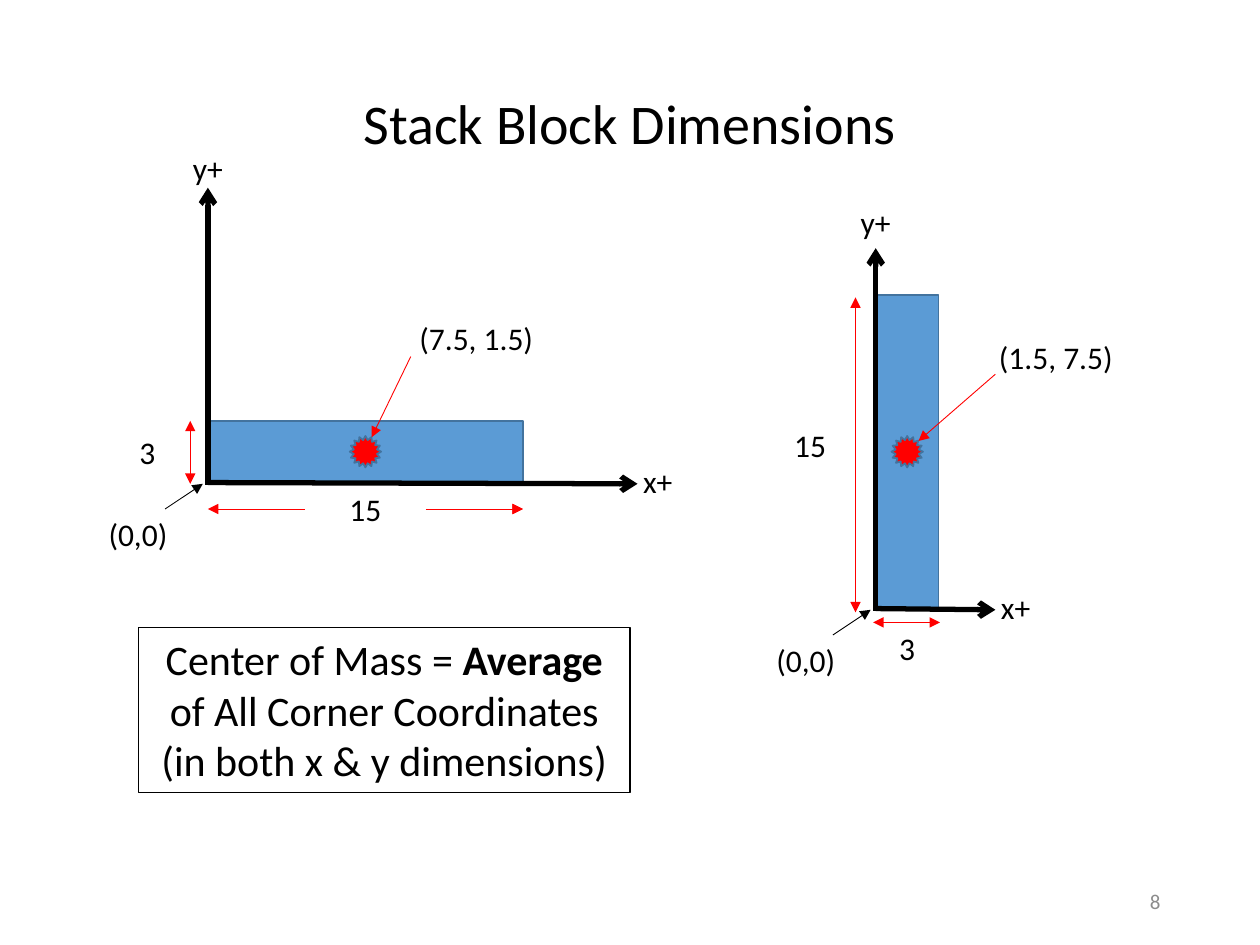
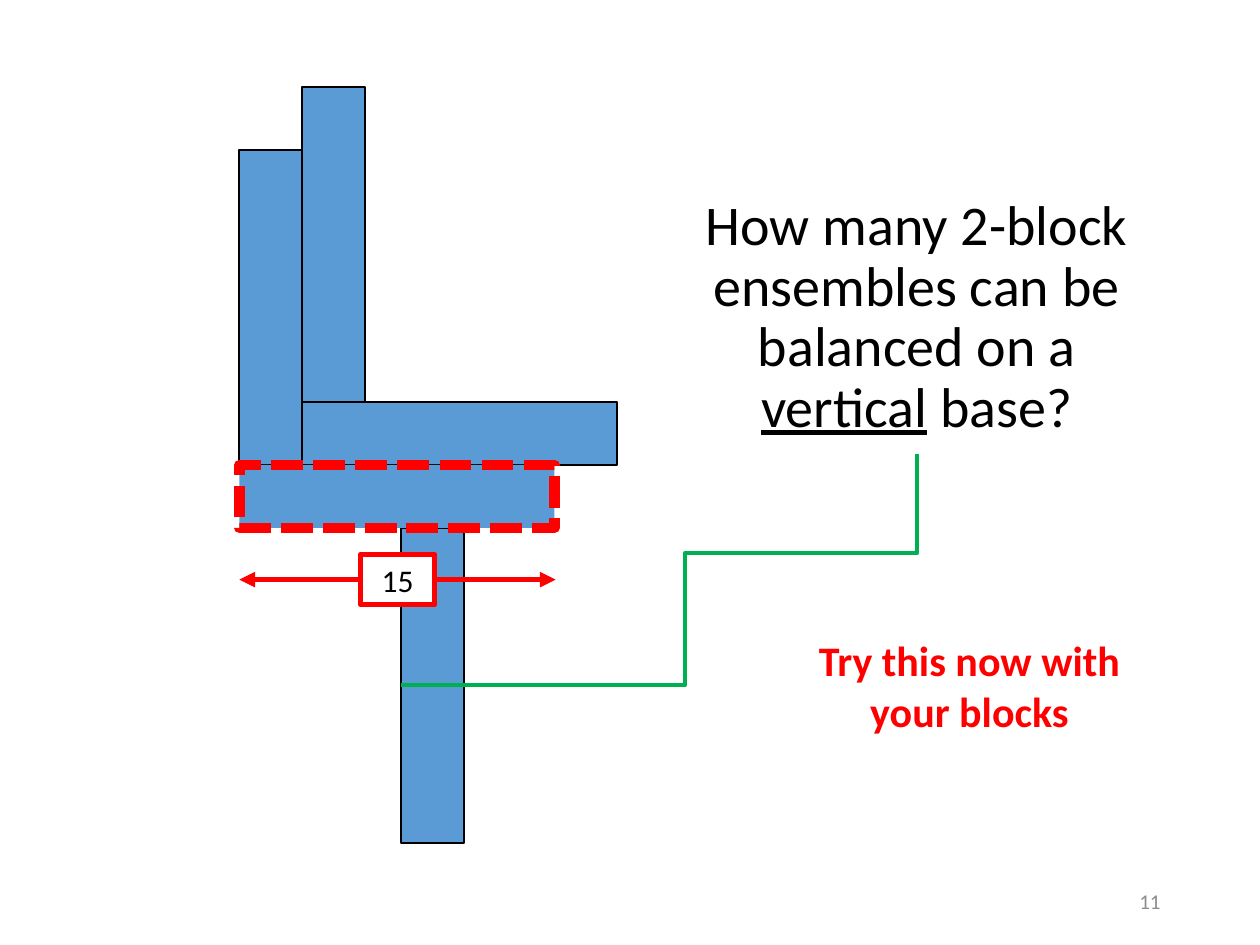
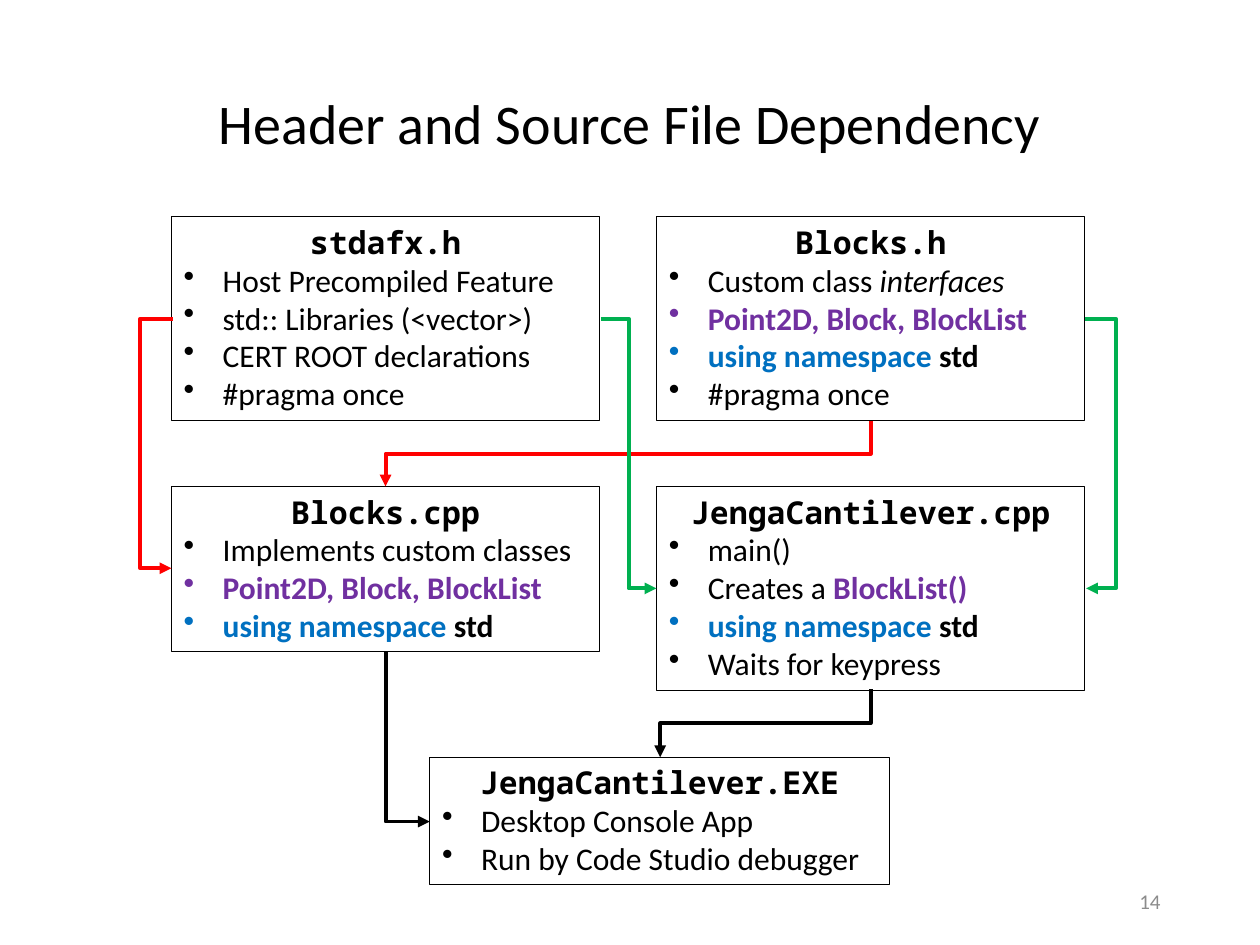
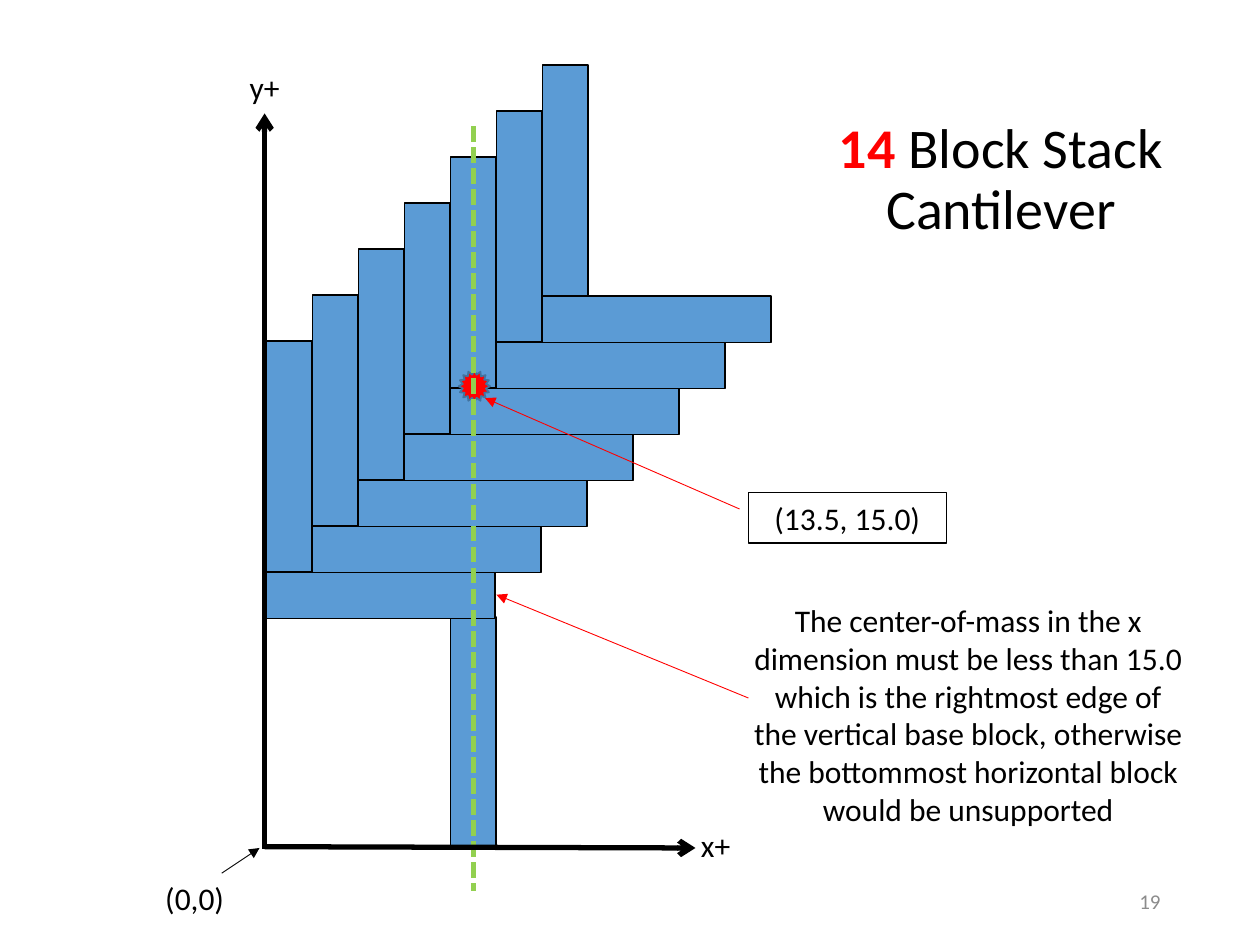
from lxml import etree
from pptx import Presentation
from pptx.dml.color import RGBColor
from pptx.enum.dml import MSO_LINE
from pptx.enum.shapes import MSO_CONNECTOR, MSO_SHAPE
from pptx.enum.text import MSO_ANCHOR, MSO_AUTO_SIZE, PP_ALIGN
from pptx.oxml.ns import qn
from pptx.util import Inches, Pt

RECT, STAR = MSO_SHAPE.RECTANGLE, MSO_SHAPE.STAR_16_POINT
STRAIGHT, ELBOW = MSO_CONNECTOR.STRAIGHT, MSO_CONNECTOR.ELBOW
LEFT, CENTER, RIGHT = PP_ALIGN.LEFT, PP_ALIGN.CENTER, PP_ALIGN.RIGHT
TOP, MIDDLE = MSO_ANCHOR.TOP, MSO_ANCHOR.MIDDLE
FIT, FIXED = MSO_AUTO_SIZE.SHAPE_TO_FIT_TEXT, MSO_AUTO_SIZE.NONE
DASH = MSO_LINE.SQUARE_DOT


class Theme:
    ink, white, red = "000000", "FFFFFF", "FF0000"
    blue, edge, green, lime = "5B9BD5", "43739E", "00B050", "92D050"
    grey, violet, azure = "8C8C8C", "7030A0", "0070C0"
    body = {"name": "Calibri", "size": Pt(18), "color": ink}
    title = {**body, "size": Pt(32)}
    large = {**body, "size": Pt(24)}
    small = {**body, "size": Pt(12), "color": grey}
    code = {"name": "Noto Sans Mono", "bold": True}
    bold = {"bold": True}
    kind = {"bold": True, "color": violet}
    word = {"bold": True, "color": azure}


deck = Presentation()
deck.slide_width, deck.slide_height = Inches(10), Inches(7.5)
COL = ROW = deck.slide_width / 10


def box(page, at, paras=(), base=Theme.body, shape=None, fill=None, edge=None,
        width=1, dash=None, rot=0, align=CENTER, anchor=TOP, size=FIT,
        space=None, dots=False):
    spot = [round(n * unit) for n, unit in zip(at, (COL, ROW, COL, ROW))]
    if shape is None:
        item = page.shapes.add_textbox(*spot)
    else:
        item = page.shapes.add_shape(shape, *spot)
        item.shadow.inherit = False
        item.rotation = rot
        if fill:
            item.fill.solid()
            item.fill.fore_color.rgb = RGBColor.from_string(fill)
        else:
            item.fill.background()
        item.line.color.rgb = RGBColor.from_string(edge)
        item.line.width = Pt(width)
        if dash:
            item.line.dash_style = dash
    if not paras:
        return
    frame = item.text_frame
    for key, val in {"word_wrap": True, "auto_size": size,
                     "vertical_anchor": anchor}.items():
        setattr(frame, key, val)
    for row, runs in enumerate(paras):
        para = frame.add_paragraph() if row else frame.paragraphs[0]
        para.alignment = align
        if space:
            para.line_spacing = space
        if dots and row:
            para.alignment = LEFT
            props = para._p.get_or_add_pPr()
            props.set("marL", str(Inches(0.31)))
            props.set("indent", str(-Inches(0.31)))
            etree.SubElement(props, qn("a:buChar")).set("char", "•")
        for part in [runs] if isinstance(runs, str) else runs:
            text, style = (part, {}) if isinstance(part, str) else part
            run = para.add_run()
            run.text = text
            for key, val in {**base, **style}.items():
                if key == "color":
                    run.font.color.rgb = RGBColor.from_string(val)
                else:
                    setattr(run.font, key, val)


def line(page, start, end, color=Theme.red, width=0.5, head=None, tail=None,
         dash=None, bend=None, turns=(), rot=0):
    (ax, ay), (bx, by) = start, end
    if rot:
        mx, my = (ax + bx) / 2, (ay + by) / 2
        dx, dy = abs(by - ay) / 2, abs(bx - ax) / 2
        ax, ay, bx, by = mx - dx, my - dy, mx + dx, my + dy
    ends = [round(n * unit) for n, unit in zip((ax, ay, bx, by), (COL, ROW) * 2)]
    item = page.shapes.add_connector(ELBOW if bend else STRAIGHT, *ends)
    item.line.color.rgb = RGBColor.from_string(color)
    item.line.width = Pt(width)
    if dash:
        item.line.dash_style = dash
    props = item._element.spPr
    for tag, tip in (("a:headEnd", head), ("a:tailEnd", tail)):
        if tip:
            etree.SubElement(props.find(qn("a:ln")), qn(tag)).set("type", tip)
    etree.SubElement(props, qn("a:effectLst"))
    if rot:
        frame = props.find(qn("a:xfrm"))
        frame.set("rot", str(rot * 60000))
        if rot == 270:
            frame.set("flipH", "1")
    if bend:
        geom = props.find(qn("a:prstGeom"))
        geom.set("prst", bend)
        for num, turn in enumerate(turns, 1):
            guide = etree.SubElement(geom.find(qn("a:avLst")), qn("a:gd"))
            guide.set("name", f"adj{num}")
            guide.set("fmla", f"val {round(turn * 100000)}")


wide = (0.69, 0.4, 8.62, 1.21)
heads = [
    (8, wide, ["Stack Block Dimensions"]),
    (11, (5.28, 1.44, 3.99, 2.17),
     [["How many 2-block ensembles can be balanced on a ",
       ("vertical", {"underline": True}), " base?"]]),
    (14, wide, ["Header and Source File Dependency"]),
    (19, (6.43, 0.83, 3.03, 1.21),
     [[("14", {"bold": True, "color": Theme.red}), " Block Stack Cantilever"]]),
]
pages = []
for num, at, text in heads:
    page = deck.slides.add_slide(deck.slide_layouts[6])
    box(page, at, text, Theme.title, anchor=MIDDLE, size=FIXED, space=0.9)
    box(page, (7.06, 6.95, 2.25, 0.4), [str(num)], Theme.small,
        align=RIGHT, anchor=MIDDLE, size=FIXED)
    pages.append(page)
dims, quiz, files, tower = pages

soft = {"shape": RECT, "fill": Theme.blue, "edge": Theme.edge}
brick = {**soft, "edge": Theme.ink}
star = {"shape": STAR, "fill": Theme.red, "edge": Theme.edge}
frame = {"shape": RECT, "edge": Theme.ink, "width": 0.75}
both = {"head": "triangle", "tail": "triangle"}
point = {"tail": "triangle"}
long, short, dot = 2.5, 0.5, 0.25

for left, rot in ((1.65, 0), (5.95, 270)):
    box(dims, (left, 3.34, long, short), rot=rot, **soft)
    mid = left + (long - dot) / 2
    box(dims, (mid, 3.46, dot, dot), rot=rot, **star)
for text, left, top, width in (
        ("15", 2.42, 3.84, 0.96), ("3", 0.69, 3.39, 0.96),
        ("(7.5, 1.5)", 3.19, 2.48, 1.18), ("3", 6.72, 4.94, 0.96),
        ("15", 5.95, 3.33, 0.96), ("(1.5, 7.5)", 7.79, 2.63, 1.18)):
    box(dims, (left, top, width, 0.4), [text])
for start, end, tips in (
        ((3.38, 4.04), (4.15, 4.04), point), ((2.42, 4.04), (1.65, 4.04), point),
        ((3.42, 4.04), (4.15, 4.04), point), ((1.51, 3.84), (1.51, 3.34), both),
        ((3.26, 2.83), (2.95, 3.47), point), ((7.46, 4.94), (6.93, 4.94), both),
        ((6.79, 4.86), (6.79, 2.36), both), ((7.9, 2.97), (7.29, 3.5), point)):
    line(dims, start, end, **tips)
box(dims, (1.1, 4.98, 3.9, 1.31),
    [["Center of Mass = ", ("Average", Theme.bold), " of All Corner Coordinates"],
     "(in both x & y dimensions)"], Theme.large, **frame)

for left, top, rot in ((0.9, 2.19, 270), (2.4, 3.19, 0),
                       (1.4, 1.69, 270), (2.18, 5.19, 90)):
    box(quiz, (left, top, long, short), rot=rot, **brick)
box(quiz, (6.18, 4.99, 3.03, 0.91), ["Try this now with your blocks"],
    {**Theme.large, "bold": True, "color": Theme.red})
for start, end in ((3.45, 4.41), (2.92, 1.9)):
    line(quiz, (start, 4.6), (end, 4.6), width=3, **point)
box(quiz, (2.86, 4.4, 0.59, 0.4), ["15"], shape=RECT, fill=Theme.white,
    edge=Theme.red, width=3)
box(quiz, (1.9, 3.69, long, short), shape=RECT, fill=Theme.blue,
    edge=Theme.red, width=6, dash=DASH)
line(quiz, (7.28, 3.6), (3.18, 5.44), Theme.green, 2.25,
     bend="bentConnector4", turns=(0.43, 0.45), rot=90)

types = [("Point2D, Block, BlockList", Theme.kind)]
using = [("using namespace ", Theme.word), ("std", Theme.bold)]
cards = [
    (1.36, 1.72, 3.4, 1.62, "stdafx.h",
     ["Host Precompiled Feature", "std:: Libraries (<vector>)",
      "CERT ROOT declarations", "#pragma once"]),
    (5.21, 1.72, 3.4, 1.62, "Blocks.h",
     [["Custom class ", ("interfaces", {"italic": True})], types, using,
      "#pragma once"]),
    (1.36, 3.86, 3.4, 1.31, "Blocks.cpp",
     ["Implements custom classes", types, using]),
    (5.21, 3.86, 3.4, 1.62, "JengaCantilever.cpp",
     ["main()", ["Creates a ", ("BlockList()", Theme.kind)], using,
      "Waits for keypress"]),
    (3.41, 6.01, 3.65, 1.01, "JengaCantilever.EXE",
     ["Desktop Console App", "Run by Code Studio debugger"]),
]
for *at, name, items in cards:
    box(files, at, [[(name, Theme.code)], *items], dots=True, **frame)
for start, end, color, bend, turns, rot in (
        ((1.37, 2.53), (1.36, 4.51), Theme.red, "bentConnector3", [26], 0),
        ((6.91, 3.34), (3.06, 3.86), Theme.red, "bentConnector3", [0.5], 90),
        ((4.77, 2.53), (5.21, 4.67), Theme.green, "bentConnector3", [0.5], 0),
        ((8.61, 2.53), (8.62, 4.67), Theme.green, "bentConnector3", [25], 0),
        ((3.06, 5.17), (3.41, 6.52), Theme.ink, "bentConnector2", [], 270),
        ((6.91, 5.47), (5.24, 6.01), Theme.ink, "bentConnector3", [0.5], 90)):
    line(files, start, end, color, 2.25, bend=bend, turns=turns, rot=rot, **point)

step = 2.19 / 6
box(tower, (2.84, 5.63, 1.83, 0.36), rot=270, **brick)
for tier in range(7):
    move = tier * step
    box(tower, (2.11 + move, 4.54 - move, 1.82, 0.37), **brick)
    box(tower, (1.38 + move, 3.44 - move, 1.83, 0.36), rot=270, **brick)
box(tower, (3.64, 2.94, dot, dot), rot=270, **star)
box(tower, (5.94, 3.91, 1.57, 0.4), ["(13.5, 15.0)"], fill=Theme.white, **frame)
line(tower, (5.87, 4.04), (3.85, 3.16), **point)
line(tower, (3.76, 1), (3.76, 7.07), Theme.lime, 3, dash=DASH)
box(tower, (5.87, 4.72, 3.63, 1.92),
    ["The center-of-mass in the x dimension must be less than 15.0 which is "
     "the rightmost edge of the vertical base block, otherwise the bottommost "
     "horizontal block would be unsupported"])
line(tower, (5.94, 5.54), (3.94, 4.72), **point)

for page, left, base, top, right, lift in (
        (dims, 1.65, 3.84, 1.49, 5.06, 0.36),
        (dims, 6.95, 4.84, 1.97, 7.9, 0.41),
        (tower, 2.1, 6.73, 0.9, 5.52, 0.41)):
    line(page, (left, top), (left, base + 0.01), Theme.ink, 3, head="arrow")
    line(page, (right, base), (left, base - 0.01), Theme.ink, 3, head="arrow")
    box(page, (left - 0.27, top - lift, 0.54, 0.4), ["y+"])
    box(page, (right - 0.11, base - 0.22, 0.54, 0.4), ["x+"])
    box(page, (left - 0.9, base + 0.2, 0.69, 0.4), ["(0,0)"])
    line(page, (left - 0.34, base + 0.2), (left - 0.04, base), Theme.ink, **point)

deck.save("out.pptx")
